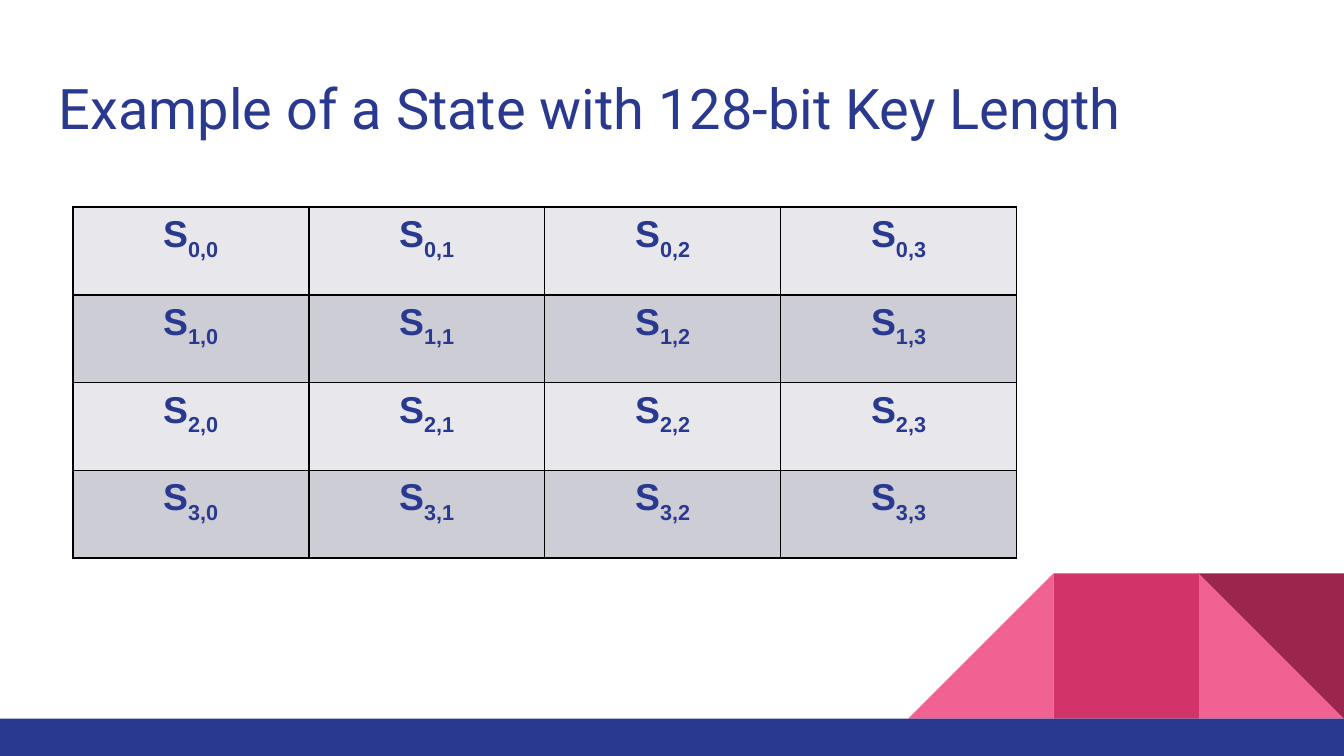
from dataclasses import dataclass

from lxml.etree import SubElement
from pptx import Presentation
from pptx.dml.color import RGBColor
from pptx.enum.shapes import MSO_SHAPE
from pptx.enum.text import MSO_ANCHOR, PP_ALIGN
from pptx.oxml.ns import qn
from pptx.util import Pt


@dataclass(frozen=True)
class Theme:
    blue: str = "2A3990"
    light_pink: str = "F06292"
    pink: str = "D23369"
    dark_pink: str = "9C254D"
    border: str = "000000"
    bands: tuple = ("E8E8EC", "CDCDD6")
    title_font: str = "Roboto"
    cell_font: str = "Arial"
    title_size: int = 30
    cell_size: int = 20


theme = Theme()


def add_block(kind, left, top, width, height, color):
    shape = slide.shapes.add_shape(kind, Pt(left), Pt(top), Pt(width), Pt(height))
    shape.shadow.inherit = False
    shape.fill.solid()
    shape.fill.fore_color.rgb = RGBColor.from_string(color)
    shape.line.fill.background()
    return shape


def add_run(paragraph, text, font_name, size, bold=False):
    run = paragraph.add_run()
    run.text = text
    run.font.name = font_name
    run.font.size = Pt(size)
    run.font.bold = bold
    run.font.color.rgb = RGBColor.from_string(theme.blue)
    return run


presentation = Presentation()
presentation.slide_width, presentation.slide_height = Pt(720), Pt(405)
slide = presentation.slides.add_slide(presentation.slide_layouts[6])

# Corner tiles, counted from the right edge, and the bottom bar
tile = 77.8
bar_top = 385
tiles = [
    (MSO_SHAPE.RIGHT_TRIANGLE, 1, theme.light_pink, 0, False),
    (MSO_SHAPE.RIGHT_TRIANGLE, 3, theme.light_pink, 0, True),
    (MSO_SHAPE.RECTANGLE, 2, theme.pink, 0, False),
    (MSO_SHAPE.RIGHT_TRIANGLE, 1, theme.dark_pink, 180, False),
]
for kind, position, color, rotation, flipped in tiles:
    shape = add_block(kind, 720 - position * tile, bar_top - tile, tile, tile, color)
    shape.rotation = rotation
    if flipped:
        shape.element.spPr.find(qn("a:xfrm")).set("flipH", "1")
add_block(MSO_SHAPE.RECTANGLE, 0, bar_top, 720, 20, theme.blue)

# Title
title = slide.shapes.add_textbox(Pt(24.5), Pt(32.4), Pt(671), Pt(47.5))
frame = title.text_frame
frame.word_wrap = True
frame.vertical_anchor = MSO_ANCHOR.TOP
frame.margin_left = frame.margin_right = frame.margin_top = frame.margin_bottom = Pt(7.2)
add_run(frame.paragraphs[0], "Example of a State with 128-bit Key Length",
        theme.title_font, theme.title_size)

# State table
size = 4
column_width, row_height = 126.4, 47
table = slide.shapes.add_table(size, size, Pt(39), Pt(111), Pt(size * column_width),
                               Pt(size * row_height)).table
for column in table.columns:
    column.width = Pt(column_width)
for row_index, row in enumerate(table.rows):
    row.height = Pt(row_height)
    for column_index, cell in enumerate(row.cells):
        # Borders come before the fill in the cell properties
        properties = cell._tc.get_or_add_tcPr()
        for side in ("a:lnL", "a:lnR", "a:lnT", "a:lnB"):
            line = SubElement(properties, qn(side), w=str(Pt(1)))
            line_fill = SubElement(line, qn("a:solidFill"))
            SubElement(line_fill, qn("a:srgbClr"), val=theme.border)
        cell.fill.solid()
        cell.fill.fore_color.rgb = RGBColor.from_string(theme.bands[row_index % 2])
        paragraph = cell.text_frame.paragraphs[0]
        paragraph.alignment = PP_ALIGN.CENTER
        add_run(paragraph, "S", theme.cell_font, theme.cell_size, bold=True)
        subscript = add_run(paragraph, f"{row_index},{column_index}",
                            theme.cell_font, theme.cell_size, bold=True)
        subscript.font._element.set("baseline", "-25000")

presentation.save("out.pptx")
